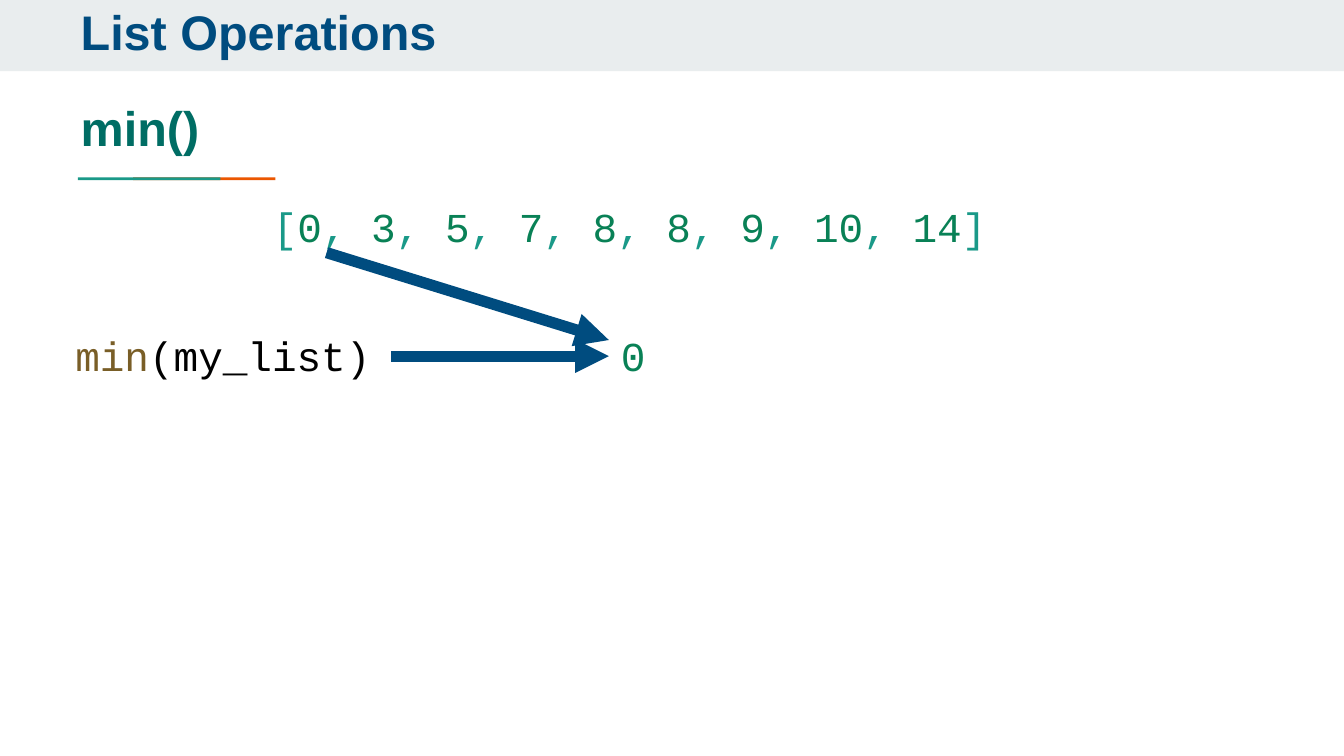
from lxml.etree import SubElement
from pptx import Presentation
from pptx.dml.color import RGBColor
from pptx.enum.shapes import MSO_CONNECTOR, MSO_SHAPE
from pptx.enum.text import MSO_ANCHOR, MSO_AUTO_SIZE, PP_ALIGN
from pptx.oxml.ns import qn
from pptx.util import Inches, Pt

NAVY = RGBColor(0x00, 0x4C, 0x7F)
DARK_TEAL = RGBColor(0x00, 0x6D, 0x64)
TEAL = RGBColor(0x1A, 0x99, 0x88)
ORANGE = RGBColor(0xEB, 0x56, 0x00)
PALE_GREY = RGBColor(0xE9, 0xED, 0xEE)
NUMBER_GREEN = RGBColor(0x09, 0x81, 0x56)
FUNCTION_BROWN = RGBColor(0x79, 0x5E, 0x27)
BLACK = RGBColor(0x00, 0x00, 0x00)


def add_bar(left, top, width, height, color):
    bar = slide.shapes.add_shape(
        MSO_SHAPE.RECTANGLE, Inches(left), Inches(top), Inches(width), Inches(height))
    bar.shadow.inherit = False
    bar.fill.solid()
    bar.fill.fore_color.rgb = color
    bar.line.fill.background()
    return bar


def add_code(left, top, width, pieces):
    box = slide.shapes.add_textbox(Inches(left), Inches(top), Inches(width), Inches(0.41))
    frame = box.text_frame
    frame.word_wrap = True
    frame.auto_size = MSO_AUTO_SIZE.SHAPE_TO_FIT_TEXT
    frame.margin_left = frame.margin_right = Inches(0.04)
    frame.margin_top = frame.margin_bottom = Inches(0.02)
    for text, color in pieces:
        run = frame.paragraphs[0].add_run()
        run.text = text
        run.font.name = "Courier New"
        run.font.size = Pt(22)
        run.font.color.rgb = color


# Slide in 16:9
prs = Presentation()
prs.slide_width = Inches(10)
prs.slide_height = Inches(10) * 9 // 16
slide = prs.slides.add_slide(prs.slide_layouts[1])

# Header band, behind the title
header_band = add_bar(0, 0, 10, 0.53, PALE_GREY)
slide.shapes._spTree.insert(2, header_band._element)

# Title and subtitle
headings = [
    (slide.shapes.title, "List Operations", 0, 3.83, NAVY),
    (slide.placeholders[1], "min()", 0.71, 4.92, DARK_TEAL),
]
for heading, text, top, width, color in headings:
    heading.left, heading.top = Inches(0.5), Inches(top)
    heading.width, heading.height = Inches(width), Inches(0.59)
    frame = heading.text_frame
    frame.text = text
    frame.word_wrap = True
    frame.auto_size = MSO_AUTO_SIZE.NONE
    frame.vertical_anchor = MSO_ANCHOR.TOP
    frame.margin_left = frame.margin_right = Inches(0.1)
    frame.margin_top = frame.margin_bottom = Inches(0.1)
    paragraph = frame.paragraphs[0]
    properties = paragraph._p.get_or_add_pPr()
    properties.set("marL", "0")
    properties.set("indent", "0")
    SubElement(properties, qn("a:buNone"))
    paragraph.alignment = PP_ALIGN.LEFT
    paragraph.line_spacing = 0.8
    paragraph.space_before = Pt(0)
    font = paragraph.runs[0].font
    font.name, font.size, font.bold = "Arial", Pt(26), True
    font.color.rgb = color

# Two-colour rule under the subtitle, teal overlapping orange
add_bar(0.99, 1.32, 1.06, 0.02, ORANGE)
add_bar(0.58, 1.32, 1.06, 0.02, TEAL)

# The list, its min() call and the result
numbers = [0, 3, 5, 7, 8, 8, 9, 10, 14]
list_pieces = [("[", TEAL)]
for position, number in enumerate(numbers):
    if position:
        list_pieces.append((", ", TEAL))
    list_pieces.append((str(number), NUMBER_GREEN))
list_pieces.append(("]", TEAL))

add_code(1.99, 1.48, 5.66, list_pieces)
add_code(0.52, 2.44, 4.79, [("min", FUNCTION_BROWN), ("(my_list)", BLACK)])
add_code(4.58, 2.44, 0.33, [("0", NUMBER_GREEN)])

# Arrows from the call and from the smallest item to the result
for start_x, start_y, end_y in [(2.91, 2.65, 2.65), (2.43, 1.88, 2.53)]:
    arrow = slide.shapes.add_connector(
        MSO_CONNECTOR.STRAIGHT,
        Inches(start_x), Inches(start_y), Inches(4.53), Inches(end_y))
    arrow.line.color.rgb = NAVY
    arrow.line.width = Pt(6)
    SubElement(arrow.line._get_or_add_ln(), qn("a:tailEnd"), type="triangle")
    SubElement(arrow._element.spPr, qn("a:effectLst"))

prs.save("out.pptx")
